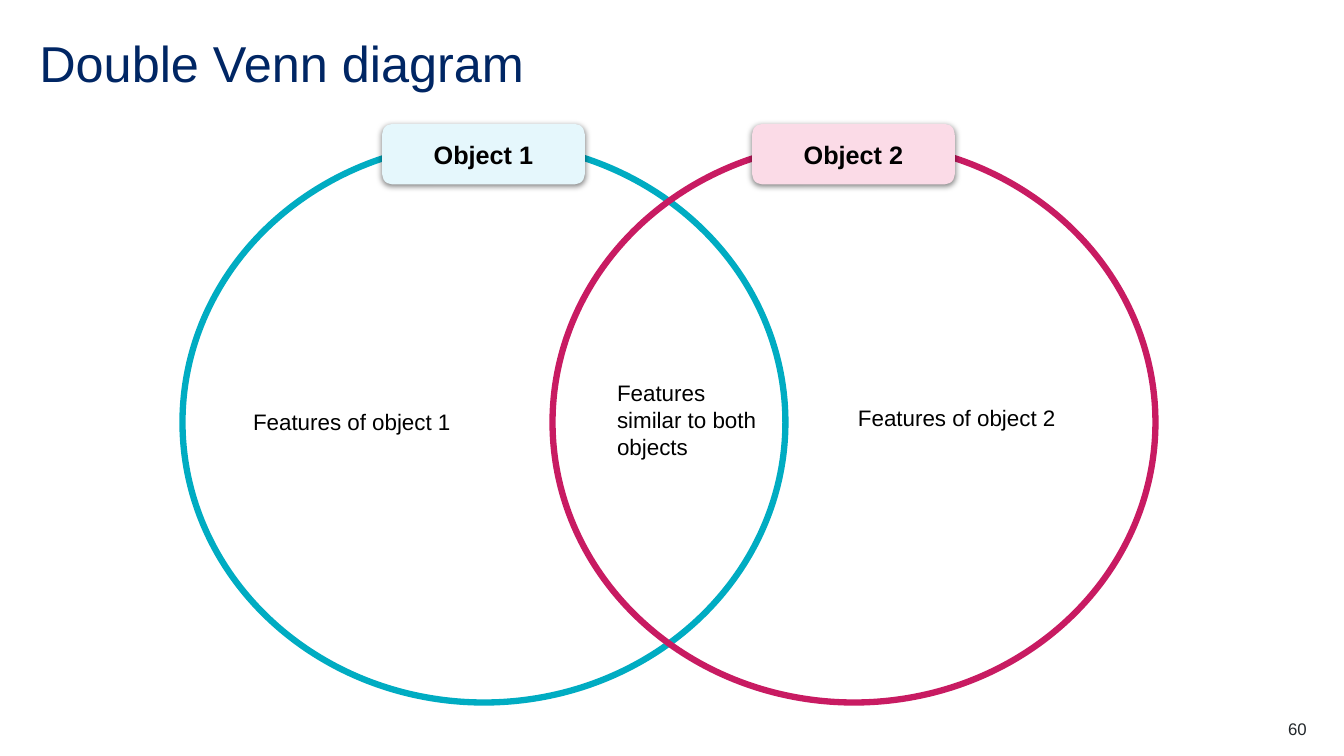
from typing import NamedTuple

from lxml import etree
from pptx import Presentation
from pptx.dml.color import RGBColor
from pptx.enum.shapes import MSO_SHAPE
from pptx.enum.text import MSO_ANCHOR, PP_ALIGN
from pptx.oxml.ns import qn
from pptx.shapes.autoshape import Shape
from pptx.slide import Slide
from pptx.util import Emu, Pt

PX = 9144  # EMU in one px, 100 px to the inch
FONT = "Arial"
LEFT, CENTER, RIGHT = PP_ALIGN.LEFT, PP_ALIGN.CENTER, PP_ALIGN.RIGHT
MIDDLE = MSO_ANCHOR.MIDDLE
OVAL, ROUNDED = MSO_SHAPE.OVAL, MSO_SHAPE.ROUNDED_RECTANGLE

NAVY = RGBColor(0x00, 0x26, 0x64)
BLACK = RGBColor(0x00, 0x00, 0x00)
CHARCOAL = RGBColor(0x22, 0x27, 0x2B)
TEAL = RGBColor(0x00, 0xAC, 0xC2)
PALE_TEAL = RGBColor(0xE5, 0xF7, 0xFC)
CRIMSON = RGBColor(0xC8, 0x1B, 0x62)
PALE_PINK = RGBColor(0xFB, 0xDB, 0xE7)

CIRCLE_TOP, CIRCLE_WIDTH, CIRCLE_HEIGHT = 141, 598, 556
LABEL_TOP, LABEL_WIDTH, LABEL_HEIGHT = 123, 201, 60


class Box(NamedTuple):
    left: int
    top: int
    width: int
    height: int

    def emu(self) -> tuple[Emu, ...]:
        return tuple(Emu(length * PX) for length in self)


class VennSet(NamedTuple):
    label: str
    left: int
    outline: RGBColor
    label_fill: RGBColor


class TextItem(NamedTuple):
    text: str
    box: Box
    size: int
    color: RGBColor = BLACK
    inset: int = 0
    align: PP_ALIGN = LEFT
    line_spacing: float = 1.0


VENN_SETS = [
    VennSet("Object 1", 181, TEAL, PALE_TEAL),
    VennSet("Object 2", 548, CRIMSON, PALE_PINK),
]

TEXT_ITEMS = [
    TextItem("Double Venn diagram", Box(39, 39, 1256, 60), 36, NAVY, line_spacing=0.9),
    TextItem("Features of object 1", Box(238, 392, 311, 53), 16, inset=13),
    TextItem("Features similar to both objects", Box(599, 363, 165, 112), 16, inset=13),
    TextItem("Features of object 2", Box(838, 388, 250, 53), 16, inset=13),
    TextItem("60", Box(1217, 713, 79, 20), 12, CHARCOAL, align=RIGHT),
]


def add_soft_shadow(shape: Shape) -> None:
    """Add a half-transparent black shadow just below the shape."""
    shape.shadow.inherit = False
    effects = shape._element.spPr.find(qn("a:effectLst"))
    shadow = etree.SubElement(
        effects, qn("a:outerShdw"), blurRad=str(Pt(4.5)), dist=str(Pt(1.5)),
        dir="5400000", algn="ctr", rotWithShape="0",
    )
    color = etree.SubElement(shadow, qn("a:srgbClr"), val=str(BLACK))
    etree.SubElement(color, qn("a:alpha"), val="50000")


def add_venn_set(slide: Slide, venn_set: VennSet) -> None:
    """Draw one outlined ellipse with its label centred on the top edge."""
    group = slide.shapes.add_group_shape()
    circle_box = Box(venn_set.left, CIRCLE_TOP, CIRCLE_WIDTH, CIRCLE_HEIGHT)
    circle = group.shapes.add_shape(OVAL, *circle_box.emu())
    circle.shadow.inherit = False
    circle.fill.background()
    circle.line.color.rgb = venn_set.outline
    circle.line.width = Pt(4.5)

    label_left = venn_set.left + (CIRCLE_WIDTH - LABEL_WIDTH) // 2
    label_box = Box(label_left, LABEL_TOP, LABEL_WIDTH, LABEL_HEIGHT)
    label = group.shapes.add_shape(ROUNDED, *label_box.emu())
    add_soft_shadow(label)
    label.fill.solid()
    label.fill.fore_color.rgb = venn_set.label_fill
    label.line.fill.background()
    label.text_frame.vertical_anchor = MIDDLE
    paragraph = label.text_frame.paragraphs[0]
    paragraph.text = venn_set.label
    paragraph.alignment = CENTER
    paragraph.font.name = FONT
    paragraph.font.size = Pt(18)
    paragraph.font.bold = True
    paragraph.font.color.rgb = BLACK


def add_text(slide: Slide, item: TextItem) -> None:
    """Draw one wrapped text box."""
    frame = slide.shapes.add_textbox(*item.box.emu()).text_frame
    frame.word_wrap = True
    inset = Emu(item.inset * PX)
    frame.margin_left = frame.margin_right = inset
    frame.margin_top = frame.margin_bottom = inset
    paragraph = frame.paragraphs[0]
    paragraph.text = item.text
    paragraph.alignment = item.align
    paragraph.line_spacing = item.line_spacing
    paragraph.font.name = FONT
    paragraph.font.size = Pt(item.size)
    paragraph.font.color.rgb = item.color


def main() -> None:
    presentation = Presentation()
    presentation.slide_width = Emu(1333 * PX)
    presentation.slide_height = Emu(750 * PX)
    slide = presentation.slides.add_slide(presentation.slide_layouts[6])

    # Overlapping sets
    for venn_set in VENN_SETS:
        add_venn_set(slide, venn_set)

    # Title, features and page number
    for item in TEXT_ITEMS:
        add_text(slide, item)

    presentation.save("out.pptx")


if __name__ == "__main__":
    main()
